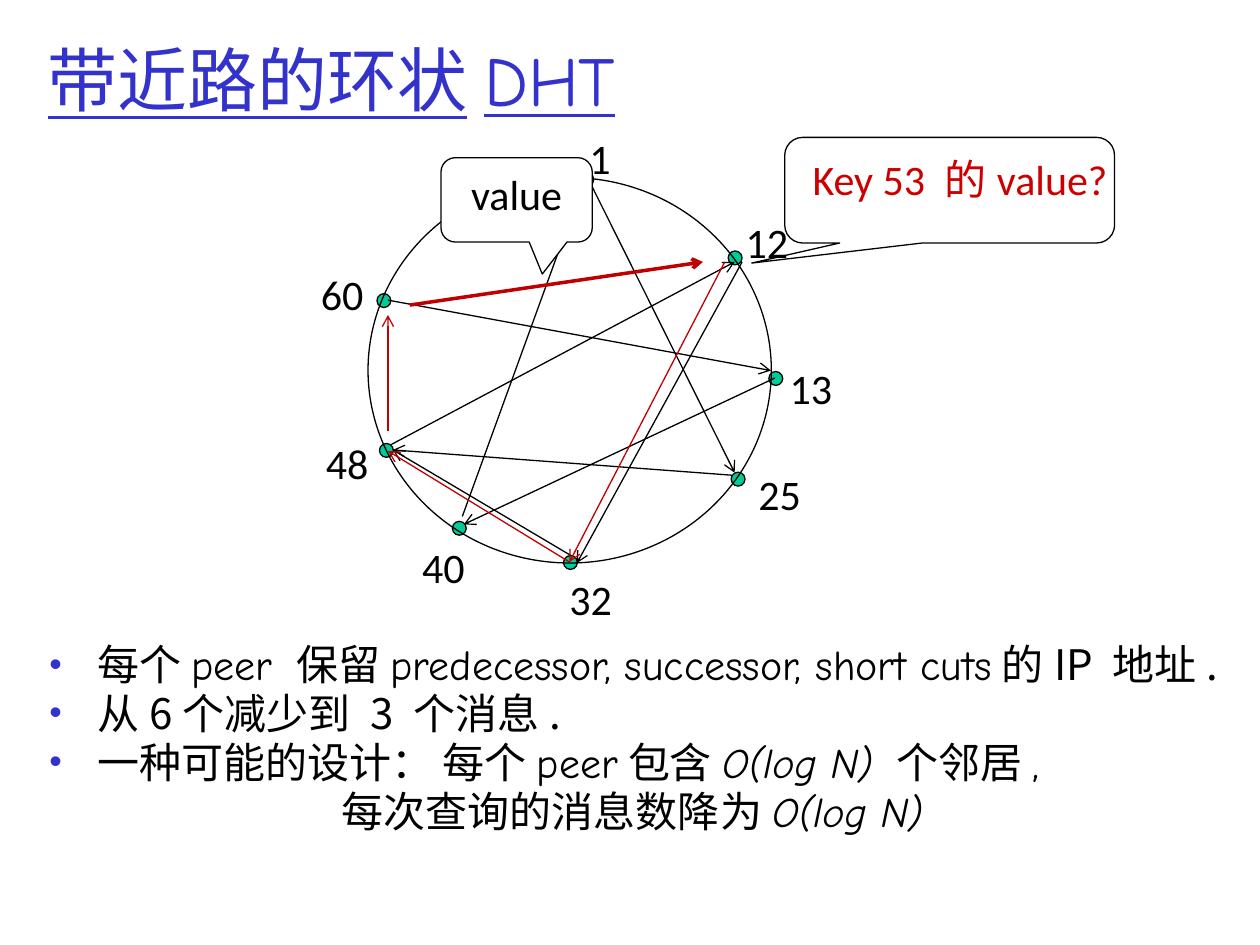
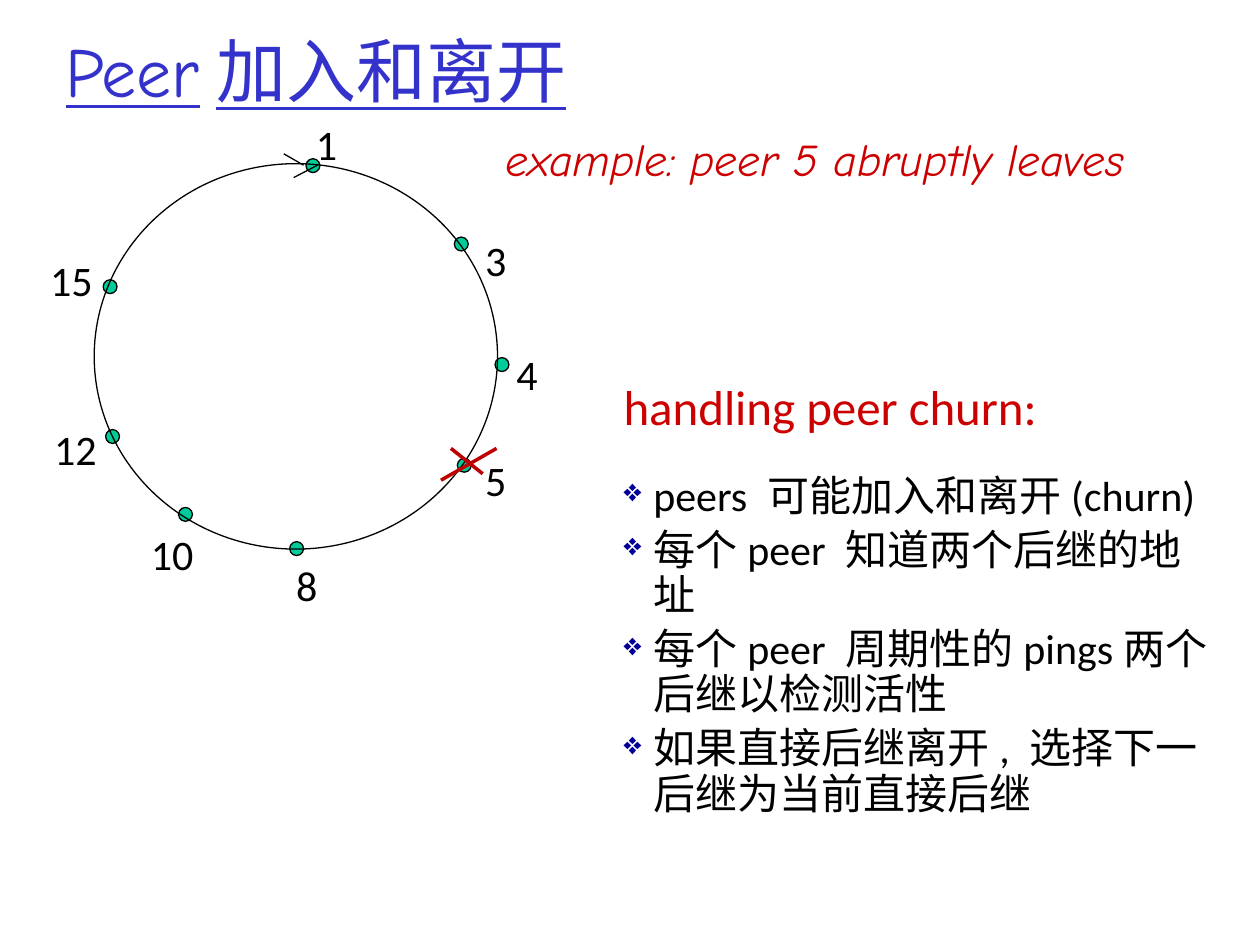
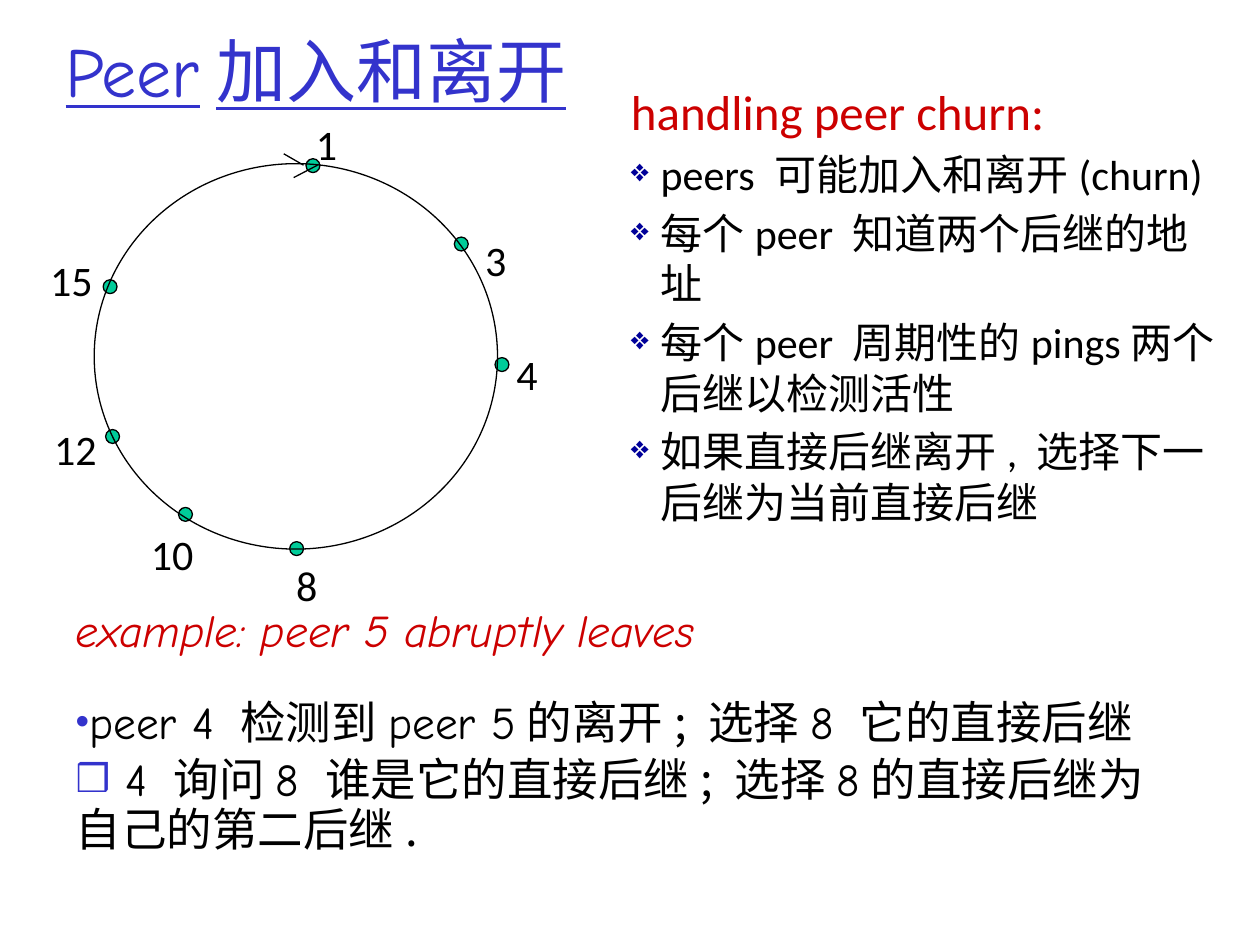
from dataclasses import dataclass
from typing import NamedTuple, Optional, Union

from lxml.etree import SubElement
from pptx import Presentation
from pptx.dml.color import RGBColor
from pptx.enum.shapes import MSO_CONNECTOR, MSO_SHAPE
from pptx.enum.text import MSO_ANCHOR, MSO_AUTO_SIZE, PP_ALIGN
from pptx.oxml.ns import qn
from pptx.util import Cm, Length, Pt

BLUE = "3333CC"
NAVY = "000099"
RED = "CC0000"
DARK_RED = "C00000"
GREEN = "00CC99"
BLACK = "000000"
WHITE = "FFFFFF"
COMIC = "Comic Neue"
CHINESE = "Noto Sans CJK SC"
CALIBRI = "Calibri"
RING_WIDTH, RING_HEIGHT, DOT_SIZE = 8.13, 7.77, 0.28
DOT_OFFSETS = [(4.27, -0.1), (7.26, 1.48), (8.08, 3.91), (7.32, 5.94),
               (3.94, 7.62), (1.7, 6.93), (0.23, 5.36), (0.18, 2.34)]


class Box(NamedTuple):
    left: float
    top: float
    width: float
    height: float


class Run(NamedTuple):
    text: str
    font: str = CHINESE
    italic: bool = False


class Bullet(NamedTuple):
    character: str
    color: str = BLUE
    percent: int = 85


@dataclass(frozen=True)
class Line:
    runs: tuple[Run, ...]
    size: float = 24
    color: str = BLACK
    spacing: Union[float, Length] = 1.0
    bullet: Optional[Bullet] = None
    margin: float = 0
    hanging: float = 0
    underline: bool = False
    alignment: PP_ALIGN = PP_ALIGN.LEFT


class Peer(NamedTuple):
    label: str
    left: float
    top: float
    position: int


class Link(NamedTuple):
    start_x: float
    start_y: float
    end_x: float
    end_y: float
    color: str = BLACK
    width: float = 0.75
    arrow: bool = True


SHORTCUTS = [
    Link(15.62, 7.62, 9.35, 10.57),
    Link(14.76, 9.58, 7.92, 9.07),
    Link(11.51, 11.2, 7.92, 9.07),
    Link(9.32, 10.41, 11.79, 3.61),
    Link(7.87, 8.97, 14.81, 5.28),
    Link(7.82, 6.05, 15.54, 7.47),
    Link(11.91, 3.71, 14.81, 9.53),
    Link(14.96, 5.28, 11.63, 11.35),
    Link(14.61, 5.28, 11.48, 11.33, DARK_RED),
    Link(11.48, 11.33, 7.82, 9.09, DARK_RED),
]
ANSWER_LINKS = [
    Link(8.26, 6.15, 14.17, 5.28, DARK_RED, 2),
    Link(7.82, 8.69, 7.82, 6.35, DARK_RED),
]
RING_ARROWHEAD = [
    Link(5.72, 3.1, 6.12, 3.33, arrow=False),
    Link(6.4, 3.33, 5.92, 3.58, arrow=False),
]
DEPARTURE_CROSS = [
    Link(9.09, 9.04, 9.73, 9.55, DARK_RED, 2, False),
    Link(10.01, 9.04, 8.89, 9.68, DARK_RED, 2, False),
]
SHORTCUT_PEERS = [
    Peer("1", 11.63, 2.54, 0), Peer("12", 14.78, 4.24, 1),
    Peer("13", 15.67, 7.19, 2), Peer("25", 15.04, 9.32, 3),
    Peer("32", 11.23, 11.43, 4), Peer("40", 8.26, 10.8, 5),
    Peer("48", 6.32, 8.69, 6), Peer("60", 6.22, 5.28, 7),
]
CHURN_PEERS = [
    Peer("1", 6.12, 2.26, 0), Peer("3", 9.53, 4.6, 1),
    Peer("4", 10.16, 6.91, 2), Peer("5", 9.53, 9.04, 3),
    Peer("8", 5.72, 11.15, 4), Peer("10", 2.79, 10.52, 5),
    Peer("12", 0.84, 8.41, 6), Peer("15", 0.76, 5, 7),
]
CHURN_TITLE = (Run("Peer", COMIC), Run("加入和离开"))
CHURN_TITLE_BOX = Box(1.07, 0, 22.86, 2.82)
EXAMPLE = Line((Run("example: peer 5 abruptly leaves", COMIC, True),), 26, RED, 0.9)
CHURN_RULES = [
    "peers 可能加入和离开(churn)",
    "每个peer 知道两个后继的地址",
    "每个peer 周期性的pings两个后继以检测活性",
    "如果直接后继离开, 选择下一后继为当前直接后继",
]


def rgb(color: str) -> RGBColor:
    return RGBColor.from_string(color)


def lengths(box: Box) -> list[Length]:
    return [Cm(value) for value in box]


def format_paragraph(paragraph, line: Line, first: bool) -> None:
    properties = paragraph._p.get_or_add_pPr()
    properties.set("marL", str(Cm(line.margin)))
    properties.set("indent", str(-Cm(line.hanging)))
    if line.bullet:
        color = SubElement(properties, qn("a:buClr"))
        SubElement(color, qn("a:srgbClr"), val=line.bullet.color)
        SubElement(properties, qn("a:buSzPct"), val=str(line.bullet.percent * 1000))
        SubElement(properties, qn("a:buChar"), char=line.bullet.character)
    else:
        SubElement(properties, qn("a:buNone"))
    paragraph.alignment = line.alignment
    paragraph.line_spacing = line.spacing
    paragraph.space_before = Pt(0 if first else line.size * 0.2)
    font = paragraph.font
    SubElement(font._element, qn("a:ea"), typeface=CHINESE)
    font.size = Pt(line.size)
    font.color.rgb = rgb(line.color)
    font.underline = line.underline


def write_lines(shape, lines: list[Line], anchor: MSO_ANCHOR = MSO_ANCHOR.TOP,
                wrap: bool = True) -> None:
    frame = shape.text_frame
    frame.word_wrap = wrap
    frame.auto_size = MSO_AUTO_SIZE.NONE
    frame.vertical_anchor = anchor
    for index, line in enumerate(lines):
        paragraph = frame.add_paragraph() if index else frame.paragraphs[0]
        format_paragraph(paragraph, line, index == 0)
        uniform = len({(run.font, run.italic) for run in line.runs}) == 1
        for piece in line.runs:
            run = paragraph.add_run()
            run.text = piece.text
            font = paragraph.font if uniform else run.font
            font.name = piece.font
            font.italic = piece.italic


def place(shape, box: Box) -> None:
    shape.left, shape.top, shape.width, shape.height = lengths(box)


def add_title(slide, box: Box, runs: tuple[Run, ...]) -> None:
    place(slide.shapes.title, box)
    write_lines(slide.shapes.title, [Line(runs, 40, BLUE, underline=True)],
                MSO_ANCHOR.MIDDLE)


def add_body(slide, box: Box, lines: list[Line]) -> None:
    body = slide.placeholders[1]
    place(body, box)
    write_lines(body, lines)


def add_text(slide, box: Box, lines: list[Line], wrap: bool = True) -> None:
    write_lines(slide.shapes.add_textbox(*lengths(box)), lines, wrap=wrap)


def add_outlined(slide, kind: MSO_SHAPE, box: Box, fill: Optional[str] = None):
    shape = slide.shapes.add_shape(kind, *lengths(box))
    shape.shadow.inherit = False
    if fill:
        shape.fill.solid()
        shape.fill.fore_color.rgb = rgb(fill)
    else:
        shape.fill.background()
    shape.line.color.rgb = rgb(BLACK)
    shape.line.width = Pt(0.75)
    return shape


def add_callout(slide, box: Box, tip: tuple[float, float], fill: Optional[str] = None):
    callout = add_outlined(slide, MSO_SHAPE.ROUNDED_RECTANGULAR_CALLOUT, box, fill)
    for index, value in enumerate((*tip, 0.17)):
        callout.adjustments[index] = value
    return callout


def add_links(slide, links: list[Link]) -> None:
    for link in links:
        ends = (Cm(link.start_x), Cm(link.start_y), Cm(link.end_x), Cm(link.end_y))
        connector = slide.shapes.add_connector(MSO_CONNECTOR.STRAIGHT, *ends)
        connector.line.color.rgb = rgb(link.color)
        connector.line.width = Pt(link.width)
        if link.arrow:
            SubElement(connector.line._get_or_add_ln(), qn("a:tailEnd"), type="arrow")
        SubElement(connector._element.spPr, qn("a:effectLst"))


def add_ring(slide, left: float, top: float, peers: list[Peer]) -> None:
    for peer in peers:
        across, down = DOT_OFFSETS[peer.position]
        add_outlined(slide, MSO_SHAPE.OVAL,
                     Box(left + across, top + down, DOT_SIZE, DOT_SIZE), GREEN)
    add_outlined(slide, MSO_SHAPE.OVAL, Box(left, top, RING_WIDTH, RING_HEIGHT))
    for peer in peers:
        width = 0.99 if len(peer.label) == 1 else 1.37
        add_text(slide, Box(peer.left, peer.top, width, 1.27),
                 [Line((Run(peer.label, CALIBRI),))], wrap=False)


def add_churn_rules(slide, box: Box, first_spacing: Union[float, Length],
                    spacing: Length) -> None:
    lines = [Line((Run("handling peer churn:", CALIBRI),), 28, RED)]
    for index, rule in enumerate(CHURN_RULES):
        lines.append(Line((Run(rule, CALIBRI),), spacing=spacing if index else first_spacing,
                          bullet=Bullet("❖", NAVY, 75), margin=0.6, hanging=0.6))
    add_text(slide, box, lines)


def build_shortcuts(slide) -> None:
    def item(*runs: Run) -> Line:
        return Line(runs, spacing=0.8, bullet=Bullet("•"), margin=0.97, hanging=0.97)

    add_title(slide, Box(0.71, 0, 22.86, 3.18), (Run("带近路的环状"), Run("DHT", COMIC)))
    add_body(slide, Box(0.74, 12.95, 24.66, 4.65), [
        item(Run("每个"), Run("peer ", COMIC), Run("保留"),
             Run("predecessor, successor, short cuts", COMIC), Run("的IP 地址.")),
        item(Run("从6个减少到 3 个消息.")),
        item(Run("一种可能的设计： 每个"), Run("peer", COMIC), Run("包含"),
             Run("O(log N) ", COMIC, True), Run("个邻居"), Run(",", COMIC)),
        Line((Run("每次查询的消息数降为"), Run("O(log N)", COMIC, True)),
             spacing=0.8, margin=5.9),
    ])
    add_ring(slide, 7.42, 3.58, SHORTCUT_PEERS)
    add_links(slide, SHORTCUTS)
    add_callout(slide, Box(15.82, 2.77, 6.65, 2.13), (-0.6, 0.69))
    add_text(slide, Box(16.13, 3.28, 6.6, 1.7),
             [Line((Run("Key 53 的value?", CALIBRI),), color=RED, spacing=Pt(20))])
    value = add_callout(slide, Box(8.89, 3.18, 3.05, 1.7), (0.17, 0.88), WHITE)
    write_lines(value, [Line((Run("value", CALIBRI),), alignment=PP_ALIGN.CENTER)])
    add_links(slide, ANSWER_LINKS)


def build_departure(slide) -> None:
    add_title(slide, CHURN_TITLE_BOX, CHURN_TITLE)
    add_body(slide, Box(9.93, 2.64, 14.88, 2.03), [EXAMPLE])
    add_ring(slide, 1.9, 3.3, CHURN_PEERS)
    add_links(slide, RING_ARROWHEAD + DEPARTURE_CROSS)
    add_churn_rules(slide, Box(12.32, 7.47, 12.29, 9.68), 1.5, Pt(26))


def build_recovery(slide) -> None:
    add_title(slide, CHURN_TITLE_BOX, CHURN_TITLE)
    add_body(slide, Box(1.27, 12.14, 22.86, 5.92), [
        EXAMPLE,
        Line((Run("peer 4 ", COMIC), Run("检测到"), Run("peer 5", COMIC),
              Run("的离开; 选择"), Run("8 ", COMIC), Run("它的直接后继")),
             26, spacing=1.5, bullet=Bullet("•")),
        Line((Run(" 4 ", COMIC), Run("询问"), Run("8 ", COMIC),
              Run("谁是它的直接后继; 选择"), Run("8", COMIC),
              Run("的直接后继为自己的第二后继.")),
             26, spacing=0.9, bullet=Bullet("❒")),
    ])
    add_ring(slide, 1.9, 3.3, [peer for peer in CHURN_PEERS if peer.label != "5"])
    add_links(slide, RING_ARROWHEAD)
    add_churn_rules(slide, Box(12.47, 1.52, 12.29, 9.7), Pt(28.8), Pt(28.8))


def main() -> None:
    presentation = Presentation()
    presentation.slide_width, presentation.slide_height = Cm(25.4), Cm(19.05)
    for build in (build_shortcuts, build_departure, build_recovery):
        build(presentation.slides.add_slide(presentation.slide_layouts[1]))
    presentation.save("out.pptx")


if __name__ == "__main__":
    main()
